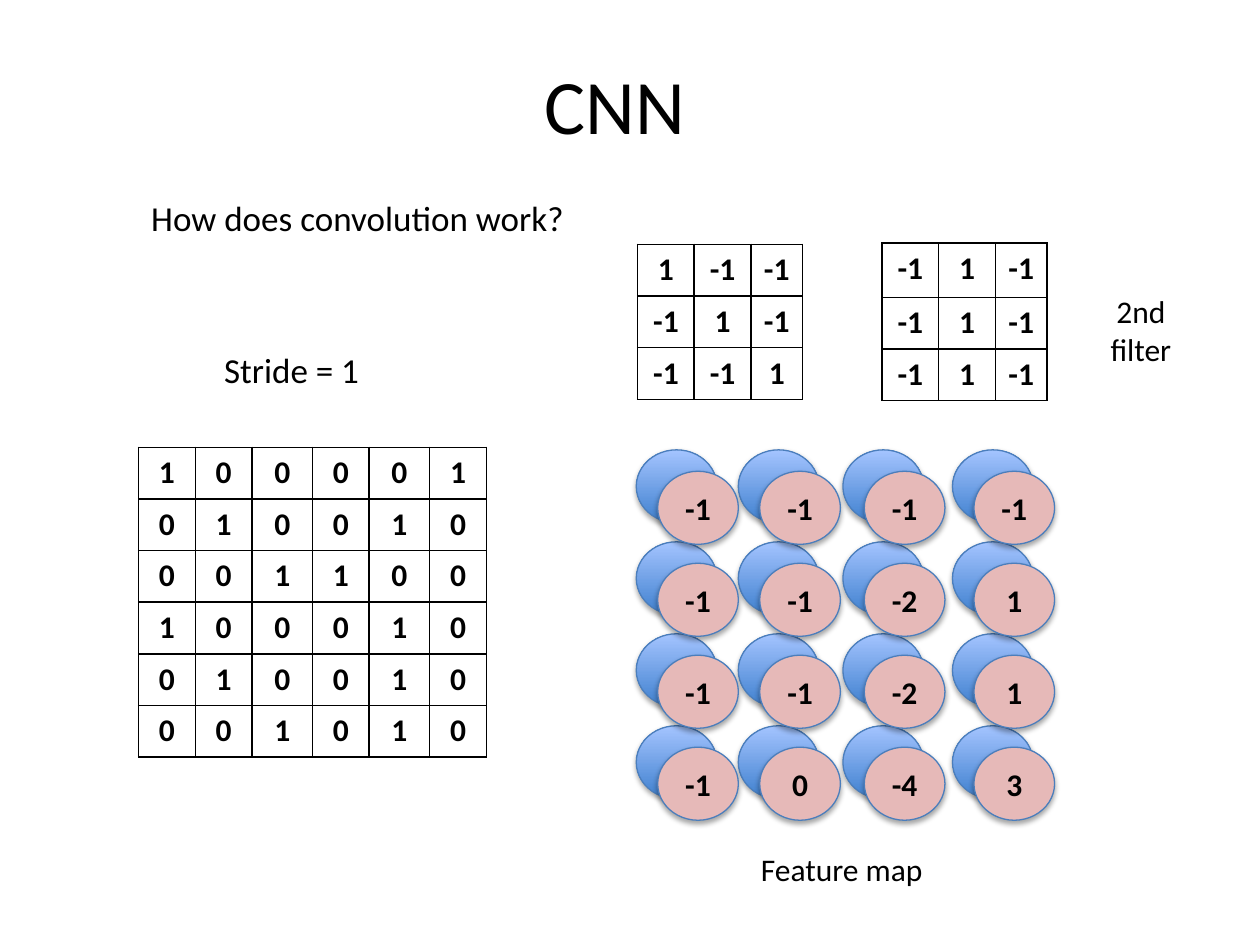
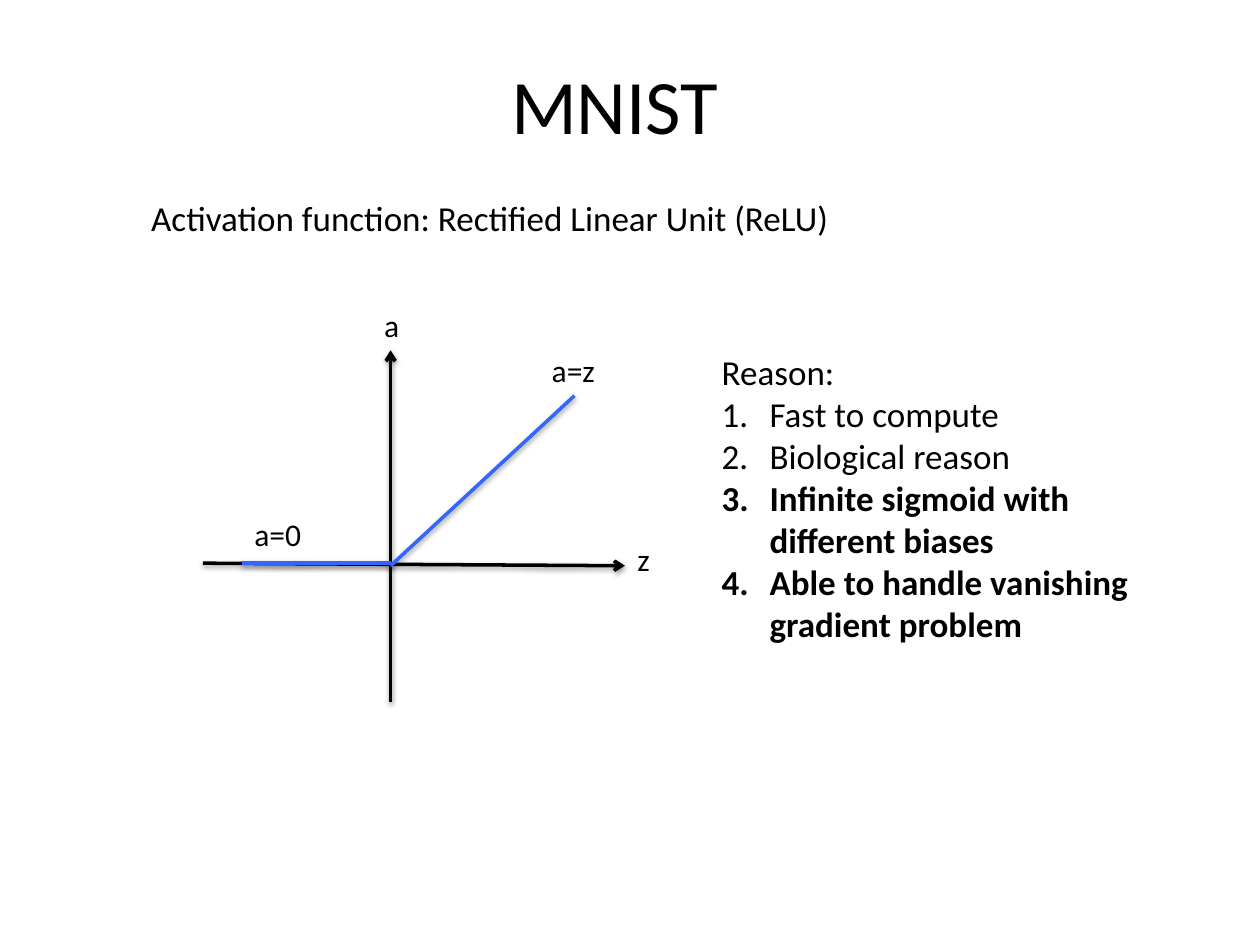
from lxml import etree
from pptx import Presentation, util as u
from pptx.dml.color import RGBColor
from pptx.enum import shapes, text
from pptx.oxml import ns

HUES = {
    "ink": "000000",
    "paper": "FFFFFF",
    "rose": "E6B9B8",
    "deep": "3F80CE",
    "pale": "A4C4FF",
    "edge": "4B7EBC",
    "plot": "3366FF",
}
FONT = "Calibri"
MID = text.PP_ALIGN.CENTER
LEFT = text.PP_ALIGN.LEFT

IMAGE = ["100001", "010010", "001100", "100010", "010010", "001010"]
FIRST = [[1, -1, -1], [-1, 1, -1], [-1, -1, 1]]
SECOND = [[-1, 1, -1]] * 3
MAP = [[-1, -1, -1, -1], [-1, -1, -2, 1], [-1, -1, -2, 1], [-1, 0, -4, 3]]


def hue(name):
    return RGBColor.from_string(HUES[name])


def node(root, tag, **attrs):
    return etree.SubElement(root, ns.qn(tag), attrs)


class Deck:
    def __init__(self):
        self.prs = Presentation()
        self.prs.slide_width = u.Inches(10)
        self.prs.slide_height = u.Inches(7.5)
        self.slide = None

    def style(self, para, size, align=LEFT, bold=False):
        para.alignment = align
        font = para.font
        font.name, font.size, font.bold = FONT, u.Pt(size), bold
        font.color.rgb = hue("ink")

    def place(self, item, x, y, w, h):
        item.left, item.top = u.Inches(x), u.Inches(y)
        item.width, item.height = u.Inches(w), u.Inches(h)

    def page(self, title, lead):
        self.slide = self.prs.slides.add_slide(self.prs.slide_layouts[0])
        head, body = self.slide.placeholders
        self.place(head, 0.63, 0.39, 8.5, 0.86)
        self.place(body, 1.1, 1.51, 7.51, 5.28)
        head.text_frame.text, body.text_frame.text = title, lead
        head.text_frame.vertical_anchor = text.MSO_ANCHOR.MIDDLE
        self.style(head.text_frame.paragraphs[0], 44, MID)
        self.style(body.text_frame.paragraphs[0], 20)

    def label(self, words, x, y, w, h, size=18, align=LEFT, wrap=True):
        box = self.slide.shapes.add_textbox(*map(u.Inches, (x, y, w, h)))
        frame = box.text_frame
        frame.text, frame.word_wrap = words, wrap
        for para in frame.paragraphs:
            self.style(para, size, align)
        return frame

    def steps(self, paras, bold_from):
        for num, para in enumerate(paras, 1):
            para.font.bold = num >= bold_from
            props = para._p.get_or_add_pPr()
            props.set("marL", str(u.Inches(0.38)))
            props.set("indent", str(-u.Inches(0.38)))
            mark = etree.Element(ns.qn("a:buAutoNum"), type="arabicPeriod")
            props.insert(0, mark)

    def shade(self, item, alpha, dist):
        effects = node(item._element.spPr, "a:effectLst")
        drop = node(effects, "a:outerShdw", blurRad=str(u.Pt(3.1)),
                    dist=str(u.Pt(dist)), dir="5400000", rotWithShape="0")
        tint = node(drop, "a:srgbClr", val=HUES["ink"])
        node(tint, "a:alpha", val=str(alpha * 1000))

    def disc(self, x, y, value=None):
        disc = self.slide.shapes.add_shape(
            shapes.MSO_SHAPE.OVAL, *map(u.Inches, (x, y, 0.64, 0.58)))
        if value is None:
            disc.fill.gradient()
            disc.fill.gradient_angle = 90
            for stop, name in zip(disc.fill.gradient_stops, ("deep", "pale")):
                stop.color.rgb = hue(name)
        else:
            disc.fill.solid()
            disc.fill.fore_color.rgb = hue("rose")
            frame = disc.text_frame
            frame.text, frame.word_wrap = str(value), False
            frame.vertical_anchor = text.MSO_ANCHOR.MIDDLE
            self.style(frame.paragraphs[0], 18, MID, True)
        disc.line.color.rgb = hue("edge")
        disc.line.width = u.Pt(0.75)
        self.shade(disc, 35, 1.8)

    def line(self, x1, y1, x2, y2, name, arrow=False):
        line = self.slide.shapes.add_connector(
            shapes.MSO_CONNECTOR.STRAIGHT, *map(u.Inches, (x1, y1, x2, y2)))
        line.line.color.rgb = hue(name)
        line.line.width = u.Pt(2)
        if arrow:
            node(line.line._get_or_add_ln(), "a:tailEnd", type="arrow")
        self.shade(line, 38, 1.6)

    def cell(self, cell, value):
        cell.text = str(value)
        cell.margin_left = cell.margin_right = u.Inches(0.05)
        self.style(cell.text_frame.paragraphs[0], 18, MID, True)
        props = cell._tc.get_or_add_tcPr()
        for side in "LRTB":
            edge = node(props, f"a:ln{side}", w=str(u.Pt(1)))
            node(node(edge, "a:solidFill"), "a:srgbClr", val=HUES["ink"])
        cell.fill.solid()
        cell.fill.fore_color.rgb = hue("paper")

    def grid(self, rows, x, y, widths, heights):
        size = sum(widths), sum(heights)
        table = self.slide.shapes.add_table(
            len(rows), len(widths), *map(u.Inches, (x, y, *size))).table
        table.first_row = table.horz_banding = False
        for col, width in zip(table.columns, widths):
            col.width = u.Inches(width)
        for row, height, values in zip(table.rows, heights, rows):
            row.height = u.Inches(height)
            for cell, value in zip(row.cells, values):
                self.cell(cell, value)


def conv(deck):
    deck.page("CNN", "How does convolution work?")
    deck.grid(IMAGE, 1.1, 3.55, [0.45, 0.45, 0.48, 0.45, 0.48, 0.45], [0.41] * 6)
    deck.label("Stride = 1", 1.68, 2.72, 1.28, 0.44, 20, wrap=False)
    thin = [0.45, 0.45, 0.41]
    deck.grid(FIRST, 5.06, 1.94, thin, [0.41] * 3)
    deck.grid(SECOND, 7, 1.93, thin, [0.43, 0.41, 0.41])
    spots = [(x, 3.57 + 0.73 * row, MAP[row][col])
             for row in range(4)
             for col, x in enumerate((5.05, 5.86, 6.69, 7.56))]
    for x, y, _ in spots:
        deck.disc(x, y)
    for x, y, value in spots:
        deck.disc(x + 0.17, y + 0.17, value)
    deck.label("2nd\nfilter", 8.71, 2.27, 0.69, 0.71, align=MID, wrap=False)
    deck.label("Feature map", 5.94, 6.7, 1.51, 0.4, wrap=False)


def relu(deck):
    deck.page("MNIST", "Activation function: Rectified Linear Unit (ReLU)")
    deck.line(1.61, 4.47, 4.96, 4.49, "ink", True)
    deck.line(3.1, 5.57, 3.1, 2.78, "ink", True)
    deck.line(1.92, 4.47, 3.1, 4.47, "plot")
    deck.line(3.1, 4.49, 4.56, 3.14, "plot")
    for words, x, y, w in (("a", 2.95, 2.38, 0.54), ("z", 4.96, 4.24, 0.67),
                           ("a=0", 1.92, 4.04, 0.92), ("a=z", 4.28, 2.74, 1.42)):
        deck.label(words, x, y, w, 0.4)
    frame = deck.label(
        "Reason:\nFast to compute\nBiological reason\n"
        "Infinite sigmoid with different biases\n"
        "Able to handle vanishing gradient problem",
        5.63, 2.73, 3.74, 2.46, 20)
    deck.steps(frame.paragraphs[1:], bold_from=3)


def main():
    deck = Deck()
    conv(deck)
    relu(deck)
    deck.prs.save("out.pptx")


if __name__ == "__main__":
    main()
